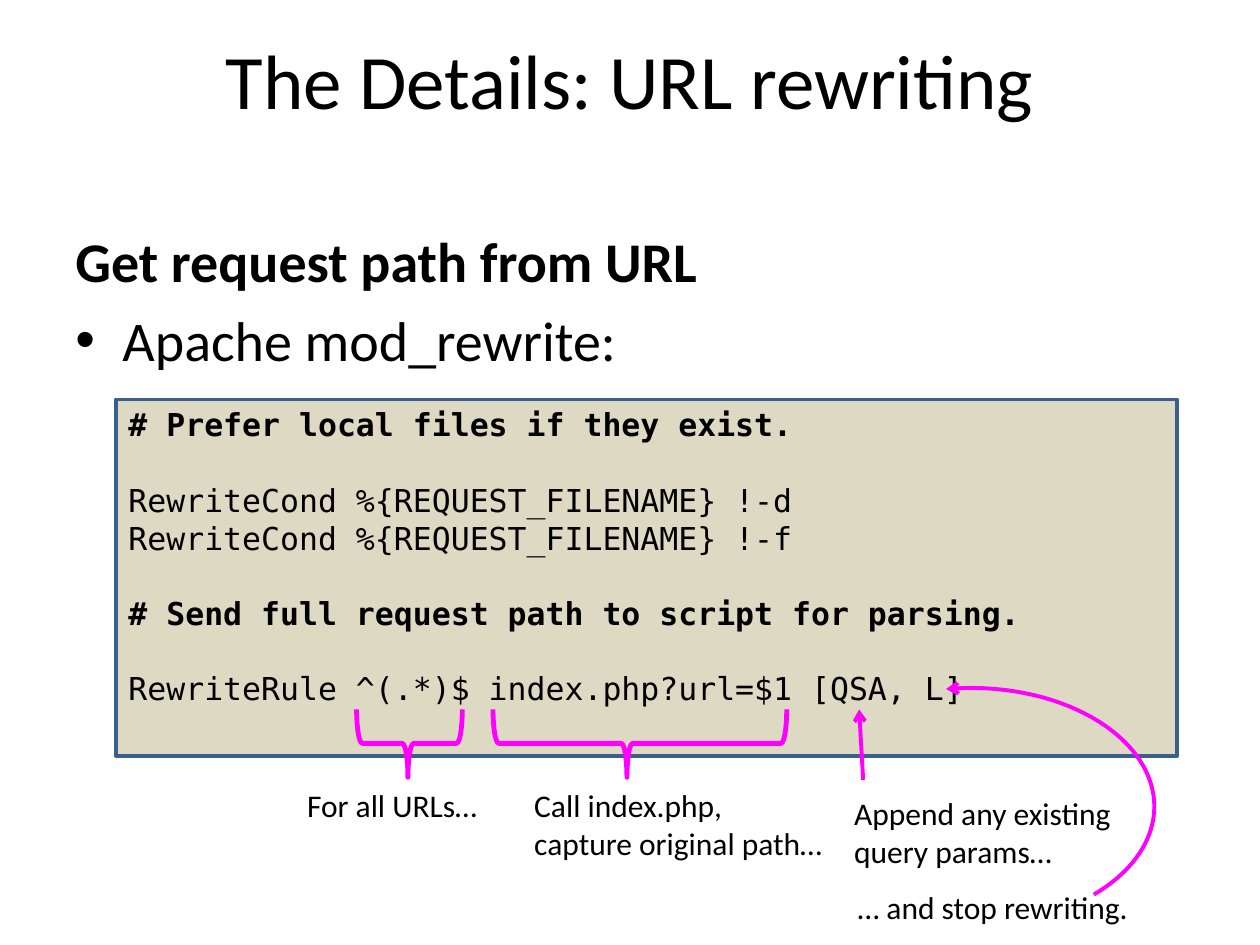
from pptx import Presentation
from pptx.dml.color import RGBColor
from pptx.enum.shapes import MSO_CONNECTOR as Link, MSO_SHAPE as Shape
from pptx.enum.text import MSO_ANCHOR as Anchor, PP_ALIGN as Align
from pptx.oxml.xmlchemy import OxmlElement as Element
from pptx.util import Cm, Pt

BLACK = RGBColor(0, 0, 0)
TAN = RGBColor(0xDD, 0xD9, 0xC3)
BLUE = RGBColor(0x3A, 0x5F, 0x8C)
PINK = RGBColor(0xFF, 0, 0xFF)

HEAD = dict(name="Calibri", size=Pt(44), bold=False)
BODY = dict(name="Calibri", size=Pt(32), bold=False)
CODE = dict(name="DejaVu Sans Mono", size=Pt(18), bold=False)
NOTE = dict(name="Calibri", size=Pt(18), bold=False)

# Text, bold, whether a blank line stands above
LINES = [
    ("# Prefer local files if they exist.", True, False),
    ("RewriteCond %{REQUEST_FILENAME} !-d", False, True),
    ("RewriteCond %{REQUEST_FILENAME} !-f", False, False),
    ("# Send full request path to script for parsing.", True, True),
    ("RewriteRule ^(.*)$ index.php?url=$1 [QSA, L]", False, True),
]


def style(para, form, **more):
    for key, value in {**form, **more}.items():
        setattr(para.font, key, value)
    para.font.color.rgb = BLACK


def write(frame, texts):
    """Put each text in its own paragraph and return the paragraphs."""
    frame.text = "\n".join(texts)
    return frame.paragraphs


def add_box(slide, box, wrap=True):
    frame = slide.shapes.add_textbox(*map(Cm, box)).text_frame
    frame.word_wrap = wrap
    return frame


def add_child(parent, tag, **attrs):
    child = Element(tag)
    for key, value in attrs.items():
        child.set(key, value)
    parent.append(child)
    return child


def ink(shape, width, arrow=False):
    shape.line.color.rgb = PINK
    shape.line.width = Pt(width)
    if arrow:
        add_child(shape.line._get_or_add_ln(), "a:tailEnd", type="arrow")


def add_title(slide, box):
    frame = add_box(slide, box)
    frame.vertical_anchor = Anchor.MIDDLE
    para = write(frame, ["The Details: URL rewriting"])[0]
    para.alignment = Align.CENTER
    style(para, HEAD)


def add_body(slide, box):
    lead, item = write(add_box(slide, box),
                       ["Get request path from URL", "Apache mod_rewrite:"])
    style(lead, BODY, bold=True)
    props = item._p.get_or_add_pPr()
    props.set("marL", str(Cm(0.95)))
    props.set("indent", str(-Cm(0.95)))
    add_child(props, "a:buFont", typeface="Arial")
    add_child(props, "a:buChar", char="•")
    item.space_before = Pt(6.4)
    style(item, BODY)


def add_code(slide, box):
    panel = slide.shapes.add_shape(Shape.RECTANGLE, *map(Cm, box))
    panel.shadow.inherit = False
    panel.fill.solid()
    panel.fill.fore_color.rgb = TAN
    panel.line.color.rgb = BLUE
    panel.line.width = Pt(2)
    frame = panel.text_frame
    frame.word_wrap = True
    frame.vertical_anchor = Anchor.TOP
    paras = write(frame, [text for text, _, _ in LINES])
    for para, (_, bold, gap) in zip(paras, LINES):
        para.alignment = Align.LEFT
        if gap:
            para.space_before = Pt(21.5)
        style(para, CODE, bold=bold)


def add_brace(slide, box, point):
    """Draw a brace that opens upward and fills the box as seen."""
    x, y, w, h = box
    turned = x + (w - h) / 2, y + (h - w) / 2, h, w
    brace = slide.shapes.add_shape(Shape.LEFT_BRACE, *map(Cm, turned))
    brace.rotation = 270
    brace.adjustments[0] = 0.083
    brace.adjustments[1] = point
    brace.shadow.inherit = False
    brace.fill.background()
    ink(brace, 2.75)


def add_arrow(slide, start, end):
    arrow = slide.shapes.add_connector(Link.STRAIGHT, *map(Cm, start + end))
    ink(arrow, 2.25, arrow=True)
    add_child(arrow._element.spPr, "a:effectLst")


def add_arc(slide, box):
    arc = slide.shapes.add_shape(Shape.ARC, *map(Cm, box))
    arc.adjustments[0] = 194.629
    arc.adjustments[1] = 61.186
    arc._element.spPr.xfrm.set("flipV", "1")
    arc.shadow.inherit = False
    arc.fill.background()
    ink(arc, 2.25, arrow=True)


def add_notes(slide, box):
    """Mark the parts of the last code line and explain each below."""
    x, y, w, h = box
    notes = [
        (0, 1.42, 4.01, ["For all URLs…"]),
        (4.58, 1.42, 6.38, ["Call index.php,", "capture original path…"]),
        (11.03, 1.58, 5.89, ["Append any existing", "query params…"]),
        (11.1, 3.48, 6.02, ["… and stop rewriting."]),
    ]
    for dx, dy, width, texts in notes:
        spot = x + dx, y + dy, width, 0.24 + 0.78 * len(texts)
        for para in write(add_box(slide, spot, wrap=False), texts):
            style(para, NOTE)
    for dx, width, point in [(1.25, 2.13, 0.486), (4, 5.92, 0.456)]:
        add_brace(slide, (x + dx, y, width, 1.37), point)
    add_arrow(slide, (x + 11.46, y + 1.42), (x + 11.38, y))
    add_arc(slide, (x + w - 7.39, y - 0.43, 7.39, h + 0.28))


def main():
    deck = Presentation()
    deck.slide_width, deck.slide_height = Cm(25.4), Cm(19.05)
    slide = deck.slides.add_slide(deck.slide_layouts[6])
    add_title(slide, (1.27, 0, 22.86, 3.18))
    add_body(slide, (1.27, 4.45, 22.86, 3.6))
    add_code(slide, (2.34, 8.05, 21.39, 7.19))
    add_notes(slide, (5.94, 14.3, 17.33, 4.5))
    deck.save("out.pptx")


if __name__ == "__main__":
    main()
